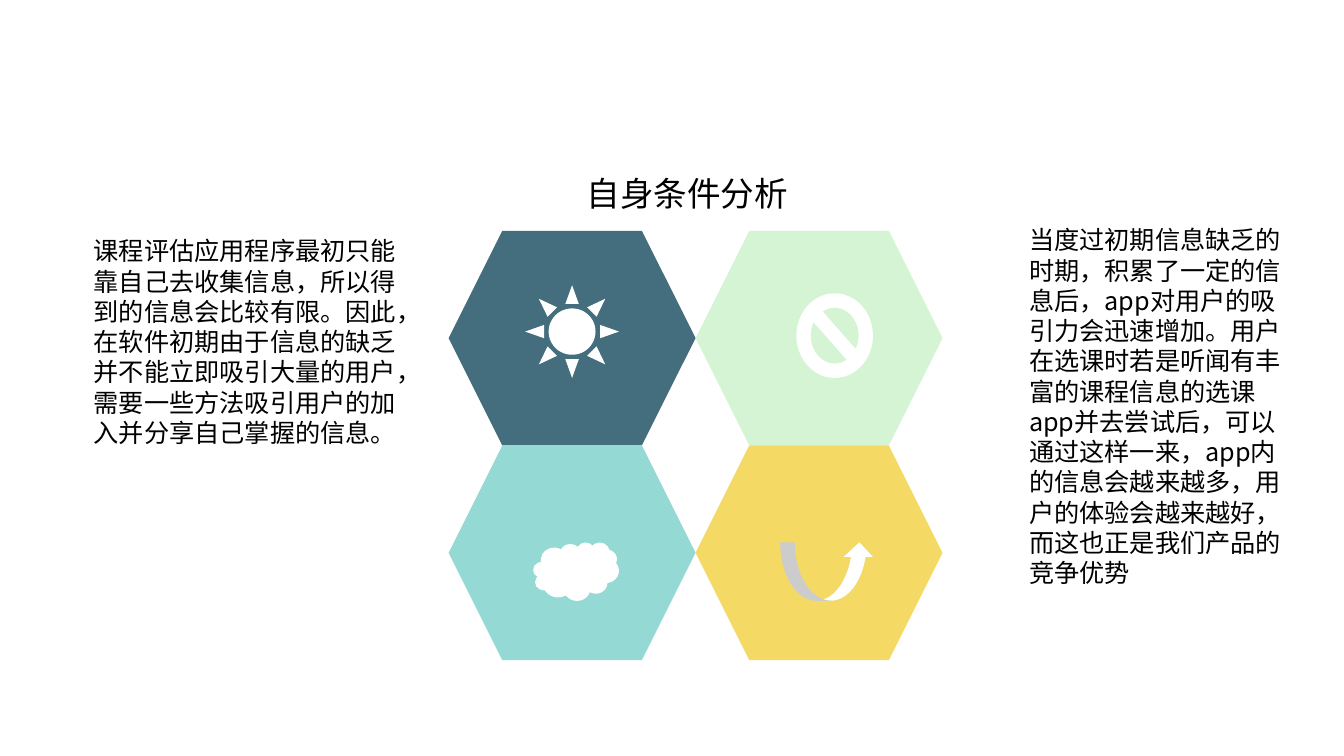
from pptx import Presentation
from pptx.dml.color import RGBColor
from pptx.enum.shapes import MSO_SHAPE as Form
from pptx.enum.text import MSO_AUTO_SIZE as Fit
from pptx.oxml.ns import qn
from pptx.util import Inches, Pt

FONT = "Noto Sans CJK SC"
HUES = {"slate": "446E7E", "mint": "D5F4D3", "aqua": "94D9D4",
        "gold": "F4D964", "white": "FFFFFF", "ink": "000000"}
TILES = [
    ("slate", Form.SUN, (31.02, 25.35, 37.96, 43.19)),
    ("mint", Form.NO_SYMBOL, (40.82, 29.11, 31.02, 39.44)),
    ("aqua", Form.CLOUD, (34.29, 45.07, 34.69, 27.23)),
    ("gold", Form.CURVED_UP_ARROW, (34.29, 45.07, 37.96, 27.23)),
]
TEXTS = [
    ((75.83, 29.07, 20.93, 49.87), 18,
     "当度过初期信息缺乏的时期，积累了一定的信息后，app对用户的吸引力会迅速增加。"
     "用户在选课时若是听闻有丰富的课程信息的选课app并去尝试后，可以通过这样一来，"
     "app内的信息会越来越多，用户的体验会越来越好，而这也正是我们产品的竞争优势"),
    ((6.23, 30.53, 25.13, 29.6), 18,
     "课程评估应用程序最初只能靠自己去收集信息，所以得到的信息会比较有限。"
     "因此，在软件初期由于信息的缺乏并不能立即吸引大量的用户，"
     "需要一些方法吸引用户的加入并分享自己掌握的信息。"),
    ((42.9, 22.27, 17.1, 6.67), 24, "自身条件分析"),
]


def part(box, share):
    """Return the area that covers the given percentages of a box."""
    x, y, w, h = box
    left, top, wide, high = (s / 100 for s in share)
    return (int(x + w * left), int(y + h * top), int(w * wide), int(h * high))


def draw(shapes, form, box, hue):
    """Add a flat preset shape without a line."""
    shape = shapes.add_shape(form, *box)
    shape.shadow.inherit = False
    shape.fill.solid()
    shape.fill.fore_color.rgb = RGBColor.from_string(HUES[hue])
    shape.line.fill.background()


def comb(slide, box):
    """Fill a box with two rows of hexagons and set an icon on each."""
    cells = [part(box, (50 * col, 50 * row, 50, 50))
             for row in range(2) for col in range(2)]
    group = slide.shapes.add_group_shape()
    for cell, (hue, _, _) in zip(cells, TILES):
        draw(group.shapes, Form.HEXAGON, cell, hue)
    for cell, (_, icon, share) in zip(cells, TILES):
        draw(slide.shapes, icon, part(cell, share), "white")


def write(slide, box, size, text):
    """Add a wrapped text box with one paragraph."""
    frame = slide.shapes.add_textbox(*box).text_frame
    for name, value in {"word_wrap": True,
                        "auto_size": Fit.SHAPE_TO_FIT_TEXT}.items():
        setattr(frame, name, value)
    run = frame.paragraphs[0].add_run()
    run.text = text
    for name, value in {"name": FONT, "size": Pt(size)}.items():
        setattr(run.font, name, value)
    run.font.color.rgb = RGBColor.from_string(HUES["ink"])
    east = run._r.get_or_add_rPr().makeelement(qn("a:ea"), {"typeface": FONT})
    run._r.rPr.find(qn("a:latin")).addnext(east)


def main():
    """Build the slide and save it."""
    deck = Presentation()
    deck.slide_width, deck.slide_height = Inches(13.33), Inches(7.5)
    slide = deck.slides.add_slide(deck.slide_layouts[6])
    page = (0, 0, deck.slide_width, deck.slide_height)
    comb(slide, part(page, (33.38, 30.53, 36.75, 56.8)))
    for share, size, text in TEXTS:
        write(slide, part(page, share), size, text)
    deck.save("out.pptx")


if __name__ == "__main__":
    main()
